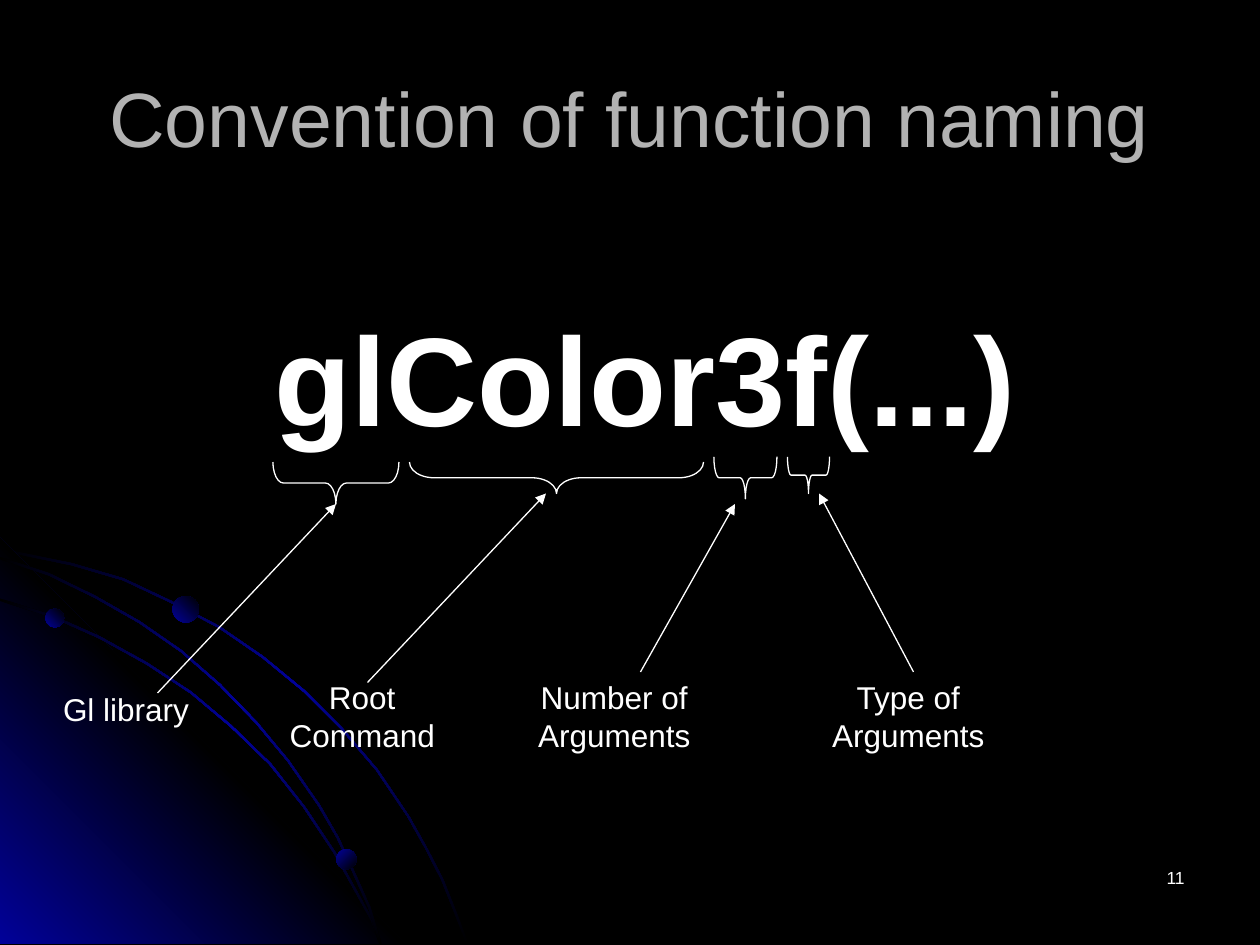
from lxml import etree
from pptx import Presentation
from pptx.dml.color import RGBColor
from pptx.enum.shapes import MSO_CONNECTOR, MSO_SHAPE
from pptx.enum.text import MSO_ANCHOR, PP_ALIGN
from pptx.oxml import parse_xml
from pptx.oxml.ns import nsdecls, qn
from pptx.util import Pt

CENTER, RIGHT = PP_ALIGN.CENTER, PP_ALIGN.RIGHT
TOP, MIDDLE = MSO_ANCHOR.TOP, MSO_ANCHOR.MIDDLE
BRACE, DOT = MSO_SHAPE.LEFT_BRACE, MSO_SHAPE.OVAL
STRAIGHT = MSO_CONNECTOR.STRAIGHT

COLORS = {"black": "000000", "glow": "010199", "title": "B2B2B2", "white": "FFFFFF"}
FONT = "Arial"
LINE_WIDTH = 0.74
ORBIT_WIDTH = 1.44

TITLE = ("Convention of function naming", (36, 21.6, 648, 90))
FUNCTION = ("glColor3f(...)", (90, 168, 558, 93.6))
PAGE = ("11", (516, 492, 168, 36))

NAME_PARTS = [
    {"label": "Gl library", "box": (24, 391, 96, 29),
     "brace": (156, 264, 72, 24), "arrow": (90, 396, 192, 288)},
    {"label": "Root Command", "box": (150, 384, 114, 50),
     "brace": (234, 264, 168, 18), "arrow": (210, 390, 312, 282)},
    {"label": "Number of Arguments", "box": (294, 384, 114, 50),
     "brace": (408, 261, 36, 24), "arrow": (366, 384, 420, 288)},
    {"label": "Type of Arguments", "box": (462, 384, 114, 50),
     "brace": (450, 261, 24, 21), "arrow": (522, 384, 468, 282)},
]

OUTER_ORBIT = [
    (0, 313.2), (20.2, 317.5), (41, 321.8), (70.6, 330.5), (97.9, 343.4),
    (125.3, 357.8), (150.5, 375.1), (174.2, 394.6), (195.8, 416.2), (216, 439.9),
    (234, 466.6), (244.1, 484.6), (253.4, 502.6), (260.6, 520.6), (267.8, 539.3)]
INNER_ORBIT = [
    (0, 342), (29.5, 351.4), (56.9, 363.6), (84.2, 378.7), (109.4, 395.3),
    (132.5, 414.7), (154.8, 436.3), (174.2, 460.8), (191.5, 486.7),
    (205.9, 512.6), (213.1, 525.6), (218.2, 539.3)]
MIDDLE_ORBIT = [
    (0, 318.2), (28.1, 327.6), (54.7, 340.6), (79.9, 355), (103.7, 371.5),
    (126, 391), (146.9, 412.6), (164.9, 434.2), (182.9, 460.1), (193.7, 478.8),
    (203, 499), (211.7, 518.4), (218.2, 539.3)]
CORNER = [(231.8, 539.3), (0, 539.3), (0, 307.4)]
PLANETS = [(25.9, 347.8, 10.8, 315), (192.2, 485.3, 11.5, 45), (98.6, 340.6, 15.1, 315)]

presentation = Presentation()
presentation.slide_width, presentation.slide_height = Pt(720), Pt(540)
slide = presentation.slides.add_slide(presentation.slide_layouts[6])
slide.background.fill.solid()
slide.background.fill.fore_color.rgb = RGBColor.from_string(COLORS["black"])
shapes = slide.shapes


def points(lengths):
    return [Pt(length) for length in lengths]


def add_gradient(shape, names, angle):
    shape.shadow.inherit = False
    shape.line.fill.background()
    stops = "".join(
        f'<a:gs pos="{100000 * i // (len(names) - 1)}"><a:srgbClr val="{COLORS[name]}"/></a:gs>'
        for i, name in enumerate(names))
    gradient = parse_xml(
        f'<a:gradFill {nsdecls("a")} rotWithShape="1"><a:gsLst>{stops}</a:gsLst>'
        f'<a:lin ang="{angle * 60000}" scaled="0"/></a:gradFill>')
    shape.fill.background()
    empty_fill = shape.element.spPr.find(qn("a:noFill"))
    shape.element.spPr.replace(empty_fill, gradient)


def add_outline(vertices, names, angle):
    start, *rest = [points(vertex) for vertex in vertices]
    builder = shapes.build_freeform(*start, scale=1.0)
    builder.add_line_segments(rest, close=True)
    add_gradient(builder.convert_to_shape(), names, angle)


def add_orbit(edge):
    last = len(edge) - 1
    inner_edge = [(x - ORBIT_WIDTH * i / last, y + ORBIT_WIDTH * (1 - i / last))
                  for i, (x, y) in enumerate(edge)]
    add_outline(edge + inner_edge[::-1], ("black", "glow", "black"), 45)


def add_text(text, box, size, color="white", align=CENTER, anchor=TOP, bold=False):
    frame = shapes.add_textbox(*points(box)).text_frame
    frame.word_wrap = True
    frame.vertical_anchor = anchor
    paragraph = frame.paragraphs[0]
    paragraph.text = text
    paragraph.alignment = align
    font = paragraph.font
    font.name, font.size, font.bold = FONT, Pt(size), bold
    font.color.rgb = RGBColor.from_string(COLORS[color])


def draw_line(line):
    line.color.rgb = RGBColor.from_string(COLORS["white"])
    line.width = Pt(LINE_WIDTH)


def add_brace(left, top, width, depth):
    box = (left + (width - depth) / 2, top + (depth - width) / 2, depth, width)
    brace = shapes.add_shape(BRACE, *points(box))
    brace.rotation = 270
    brace.adjustments[0] = width / 12 / min(width, depth)
    brace.shadow.inherit = False
    brace.fill.background()
    draw_line(brace.line)


def add_arrow(ends):
    arrow = shapes.add_connector(STRAIGHT, *points(ends))
    draw_line(arrow.line)
    properties = arrow.element.spPr
    etree.SubElement(properties.find(qn("a:ln")), qn("a:tailEnd"), type="triangle")
    etree.SubElement(properties, qn("a:effectLst"))


add_orbit(OUTER_ORBIT)
add_outline(CORNER, ("glow", "black", "glow"), 315)
add_orbit(INNER_ORBIT)
add_orbit(MIDDLE_ORBIT)
for left, top, diameter, angle in PLANETS:
    planet = shapes.add_shape(DOT, *points((left, top, diameter, diameter)))
    add_gradient(planet, ("glow", "black"), angle)

add_text(*TITLE, 44, color="title", anchor=MIDDLE)
add_text(*FUNCTION, 72, bold=True)
for part in NAME_PARTS:
    add_brace(*part["brace"])
    add_text(part["label"], part["box"], 18)
    add_arrow(part["arrow"])
add_text(*PAGE, 10, align=RIGHT)

presentation.save("out.pptx")
